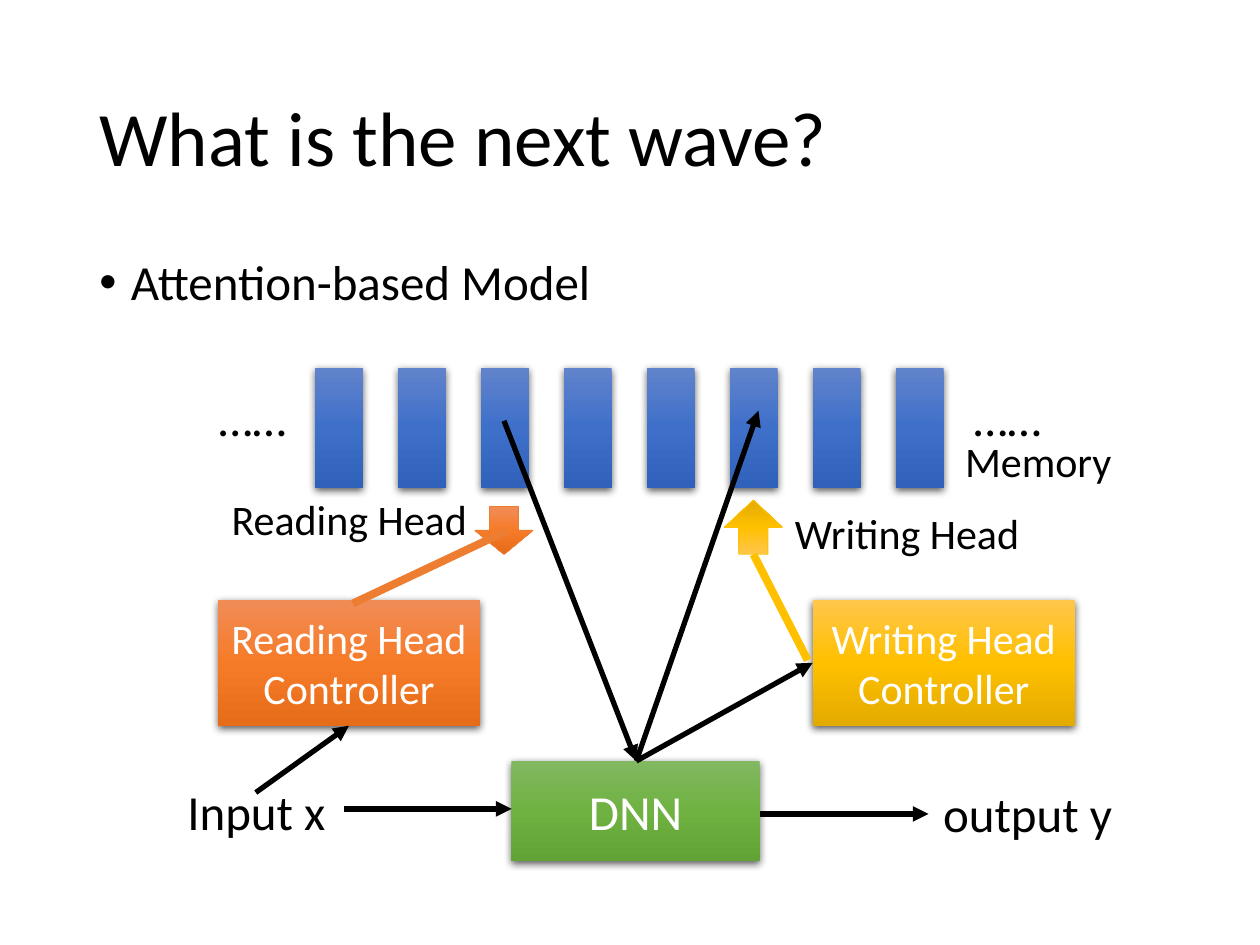
from copy import deepcopy

from pptx import Presentation
from pptx.dml.color import RGBColor
from pptx.enum import shapes, text
from pptx.oxml import parse_xml
from pptx.oxml.ns import nsdecls, qn
from pptx.util import Inches, Pt

FONT = "Calibri"
BLACK, WHITE = "000000", "FFFFFF"
ORANGE, GOLD = "ED7D31", "FFC000"
BLUE_GRADIENT = "6183CB", "3E70CA", "3062BB"
ORANGE_GRADIENT = "F18C57", "F67B28", "E56C19"
GOLD_GRADIENT = "FFC64B", "FFC000", "E3AB00"
GREEN_GRADIENT = "81B861", "6FB242", "62A336"
LEFT, CENTER, RIGHT = text.PP_ALIGN.LEFT, text.PP_ALIGN.CENTER, text.PP_ALIGN.RIGHT


def rgb(color):
    return RGBColor.from_string(color)


def inches(values):
    return [Inches(v) for v in values]


def write(tf, words, size, color=BLACK, align=LEFT):
    tf.word_wrap = True
    p = tf.paragraphs[0]
    p.alignment = align
    r = p.add_run()
    r.text = words
    r.font.name = FONT
    r.font.size = Pt(size)
    r.font.color.rgb = rgb(color)
    return p


def add_label(parent, box, words, size, align=LEFT):
    sp = parent.add_textbox(*inches(box))
    write(sp.text_frame, words, size, align=align)
    return sp


def add_title(s, words):
    sp = add_label(s.shapes, (0.69, 0.4, 8.62, 1.45), words, 44)
    sp.text_frame.vertical_anchor = text.MSO_ANCHOR.MIDDLE
    sp.text_frame.paragraphs[0].line_spacing = 0.9


def add_bullet(s, words):
    sp = add_label(s.shapes, (0.69, 2, 8.62, 4.76), words, 28)
    p = sp.text_frame.paragraphs[0]
    p.line_spacing = 0.9
    pPr = p._p.get_or_add_pPr()
    pPr.set("marL", str(Inches(0.25)))
    pPr.set("indent", str(Inches(-0.25)))
    pPr.append(parse_xml(f'<a:buFont {nsdecls("a")} typeface="Arial"/>'))
    pPr.append(parse_xml(f'<a:buChar {nsdecls("a")} char="•"/>'))


def fill_gradient(sp, colors):
    sp.fill.gradient()
    sp.fill.gradient_angle = 270
    stops = sp._element.spPr.find(".//" + qn("a:gsLst"))
    stops.insert(1, deepcopy(stops[0]))
    for stop, color, position in zip(sp.fill.gradient_stops, colors, (0, 0.5, 1)):
        stop.color.rgb = rgb(color)
        stop.position = position


def add_block(parent, box, colors, words="", size=24):
    sp = parent.add_shape(shapes.MSO_SHAPE.RECTANGLE, *inches(box))
    fill_gradient(sp, colors)
    sp.line.fill.background()
    sp._element.spPr.append(parse_xml(
        f'<a:effectLst {nsdecls("a")}><a:outerShdw blurRad="{Pt(4.5)}" dist="{Pt(1.5)}" '
        'dir="5400000" algn="ctr" rotWithShape="0"><a:srgbClr val="000000">'
        '<a:alpha val="63000"/></a:srgbClr></a:outerShdw></a:effectLst>'))
    if words:
        write(sp.text_frame, words, size, WHITE, CENTER)


def add_head(s, box, colors, outline, upward=False):
    sp = s.shapes.add_shape(shapes.MSO_SHAPE.DOWN_ARROW, *inches(box))
    sp.shadow.inherit = False
    fill_gradient(sp, colors)
    sp.line.color.rgb = rgb(outline)
    sp.line.width = Pt(0.5)
    if upward:
        sp._element.spPr.xfrm.set("flipV", "1")


def add_line(s, start, end, color=BLACK, width=3, arrow=True):
    c = s.shapes.add_connector(shapes.MSO_CONNECTOR.STRAIGHT, *inches(start + end))
    c.line.color.rgb = rgb(color)
    c.line.width = Pt(width)
    if arrow:
        c.line._get_or_add_ln().append(
            parse_xml(f'<a:tailEnd {nsdecls("a")} type="triangle"/>'))
    c._element.spPr.append(parse_xml(f'<a:effectLst {nsdecls("a")}/>'))


def add_memory(s):
    group = s.shapes.add_group_shape().shapes
    for i in range(8):
        add_block(group, (2.5 + i * 4.61 / 7, 2.92, 0.38, 0.95), BLUE_GRADIENT)
    add_label(group, (0.64, 3.03, 1.73, 0.57), "……", 28, RIGHT)
    add_label(group, (7.63, 3.03, 1.73, 0.57), "……", 28)
    add_label(group, (7, 3.41, 2.48, 0.5), "Memory", 24, CENTER)


def main():
    prs = Presentation()
    prs.slide_width, prs.slide_height = Inches(10), Inches(7.5)
    s = prs.slides.add_slide(prs.slide_layouts[6])
    dnn_top = (5.05, 6.04)

    add_title(s, "What is the next wave?")
    add_bullet(s, "Attention-based Model")

    add_block(s.shapes, (1.73, 4.76, 2.08, 1), ORANGE_GRADIENT, "Reading Head Controller")
    add_label(s.shapes, (1.17, 6.15, 1.73, 0.57), "Input x", 28, CENTER)
    add_head(s, (5.75, 3.97, 0.46, 0.43), GOLD_GRADIENT, GOLD, upward=True)
    add_head(s, (3.77, 4.02, 0.46, 0.38), ORANGE_GRADIENT, ORANGE)
    add_label(s.shapes, (1.74, 3.87, 2.31, 0.5), "Reading Head", 24)
    add_label(s.shapes, (6.21, 3.98, 2.31, 0.5), "Writing Head", 24)
    add_block(s.shapes, (4.06, 6.04, 1.97, 0.79), GREEN_GRADIENT, "DNN", 28)
    add_block(s.shapes, (6.45, 4.76, 2.08, 1), GOLD_GRADIENT, "Writing Head Controller")

    add_line(s, (2.03, 6.29), (2.77, 5.76))
    add_line(s, (2.8, 4.79), (4.03, 4.21), ORANGE, 4.5, arrow=False)
    add_line(s, (2.73, 6.42), (4.06, 6.42))
    add_line(s, dnn_top, (6.45, 5.26))
    add_line(s, (6.41, 5.24), (5.98, 4.4), GOLD, 4.5, arrow=False)
    add_label(s.shapes, (7.29, 6.17, 1.73, 0.57), "output y", 28, CENTER)
    add_line(s, (6.03, 6.46), (7.37, 6.46))

    add_memory(s)
    add_line(s, dnn_top, (6.02, 3.26))
    add_line(s, (4, 3.34), dnn_top)

    prs.save("out.pptx")


if __name__ == "__main__":
    main()
